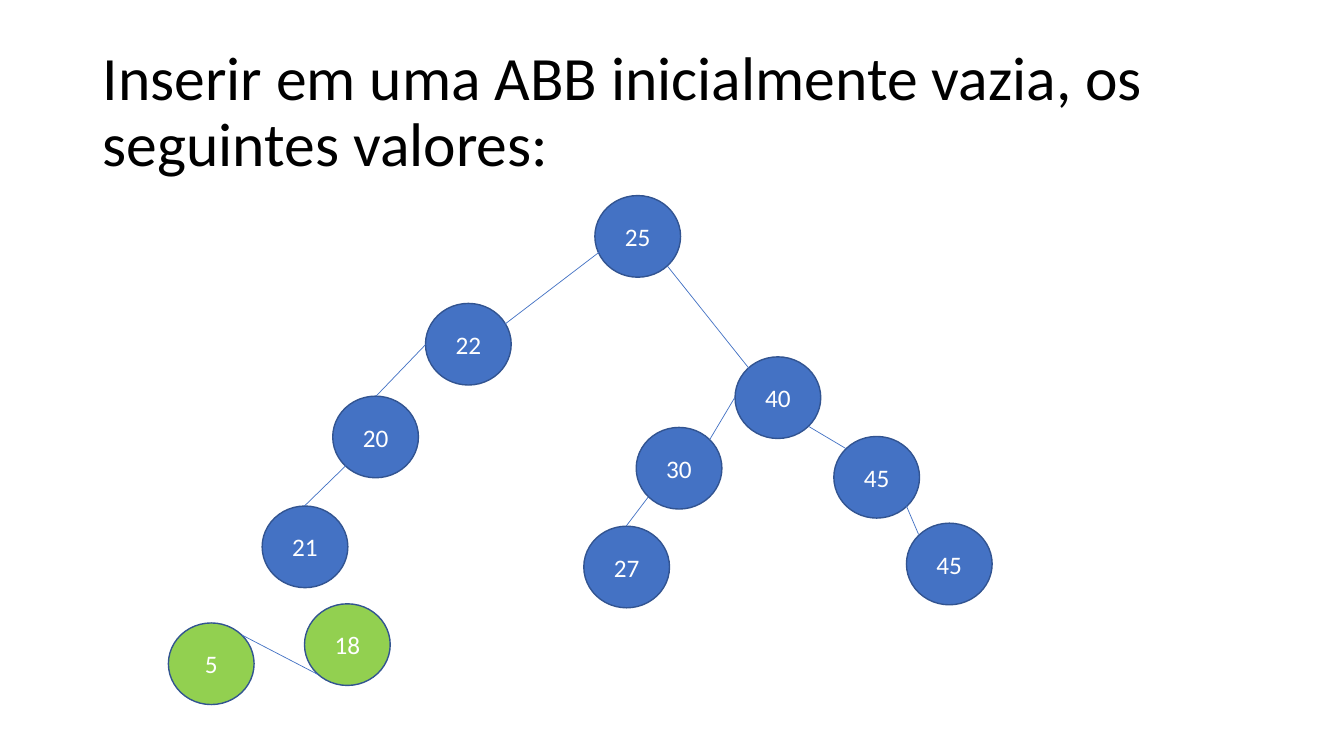
from lxml.etree import SubElement
from pptx import Presentation
from pptx.dml.color import RGBColor
from pptx.enum.shapes import MSO_CONNECTOR, MSO_SHAPE
from pptx.enum.text import MSO_ANCHOR, PP_ALIGN
from pptx.oxml.ns import qn
from pptx.util import Inches, Pt

BLACK = RGBColor(0x00, 0x00, 0x00)
WHITE = RGBColor(0xFF, 0xFF, 0xFF)
BLUE = RGBColor(0x44, 0x72, 0xC4)
DARK_BLUE = RGBColor(0x32, 0x54, 0x91)
GREEN = RGBColor(0x92, 0xD0, 0x50)

TREE_NODES = [
    ("22", 4.22, 3.01), ("27", 5.79, 5.22), ("30", 6.31, 4.24),
    ("21", 2.6, 5.02), ("25", 5.9, 1.94), ("45", 8.27, 4.33),
    ("20", 3.3, 3.93), ("40", 7.29, 3.54),
]
LOOSE_NODES = [("18", 3.02, 5.99), ("5", 1.67, 6.18)]
LAST_NODE = ("45", 8.99, 5.19)
EDGES = [
    (7.04, 4.36, 7.29, 3.94), (6.62, 2.64, 7.56, 3.82),
    (6.05, 2.42, 4.78, 3.39), (8.02, 4.23, 8.39, 4.45),
    (4.22, 3.42, 3.73, 3.93), (6.43, 4.93, 6.21, 5.22),
    (8.99, 5.02, 9.11, 5.3), (3.43, 4.62, 3.02, 5.02),
    (3.15, 6.69, 2.4, 6.3),
]


class TreeSlide:
    """Draws a binary search tree in one style on one slide."""

    font_name = "Calibri"
    node_width = Inches(0.85)
    node_height = Inches(0.81)

    def __init__(self, slide):
        self.slide = slide

    def label(self, shape, text, size, color, alignment):
        """Set and format the single paragraph of a shape."""
        frame = shape.text_frame
        frame.text = text
        frame.word_wrap = True
        frame.vertical_anchor = MSO_ANCHOR.MIDDLE
        paragraph = frame.paragraphs[0]
        paragraph.alignment = alignment
        font = paragraph.runs[0].font
        font.name = self.font_name
        font.size = Pt(size)
        font.color.rgb = color
        return paragraph

    def title(self, text):
        """Add the slide title."""
        box = self.slide.shapes.add_textbox(
            Inches(0.92), Inches(0.4), Inches(11.5), Inches(1.45))
        paragraph = self.label(box, text, 44, BLACK, PP_ALIGN.LEFT)
        paragraph.line_spacing = 0.9

    def node(self, value, left, top, fill=BLUE):
        """Add a tree node with its value."""
        shape = self.slide.shapes.add_shape(
            MSO_SHAPE.OVAL, Inches(left), Inches(top),
            self.node_width, self.node_height)
        shape.shadow.inherit = False
        shape.fill.solid()
        shape.fill.fore_color.rgb = fill
        shape.line.color.rgb = DARK_BLUE
        shape.line.width = Pt(1)
        self.label(shape, value, 18, WHITE, PP_ALIGN.CENTER)

    def edge(self, *ends):
        """Add a line between two nodes."""
        connector = self.slide.shapes.add_connector(
            MSO_CONNECTOR.STRAIGHT, *map(Inches, ends))
        connector.line.color.rgb = BLUE
        connector.line.width = Pt(0.5)
        SubElement(connector._element.spPr, qn("a:effectLst"))


presentation = Presentation()
presentation.slide_width = Inches(13.33)
presentation.slide_height = Inches(7.5)
tree = TreeSlide(presentation.slides.add_slide(presentation.slide_layouts[6]))

tree.title("Inserir em uma ABB inicialmente vazia, os seguintes valores:")
for node in TREE_NODES:
    tree.node(*node)
for node in LOOSE_NODES:
    tree.node(*node, fill=GREEN)
for edge in EDGES:
    tree.edge(*edge)
tree.node(*LAST_NODE)

presentation.save("out.pptx")
